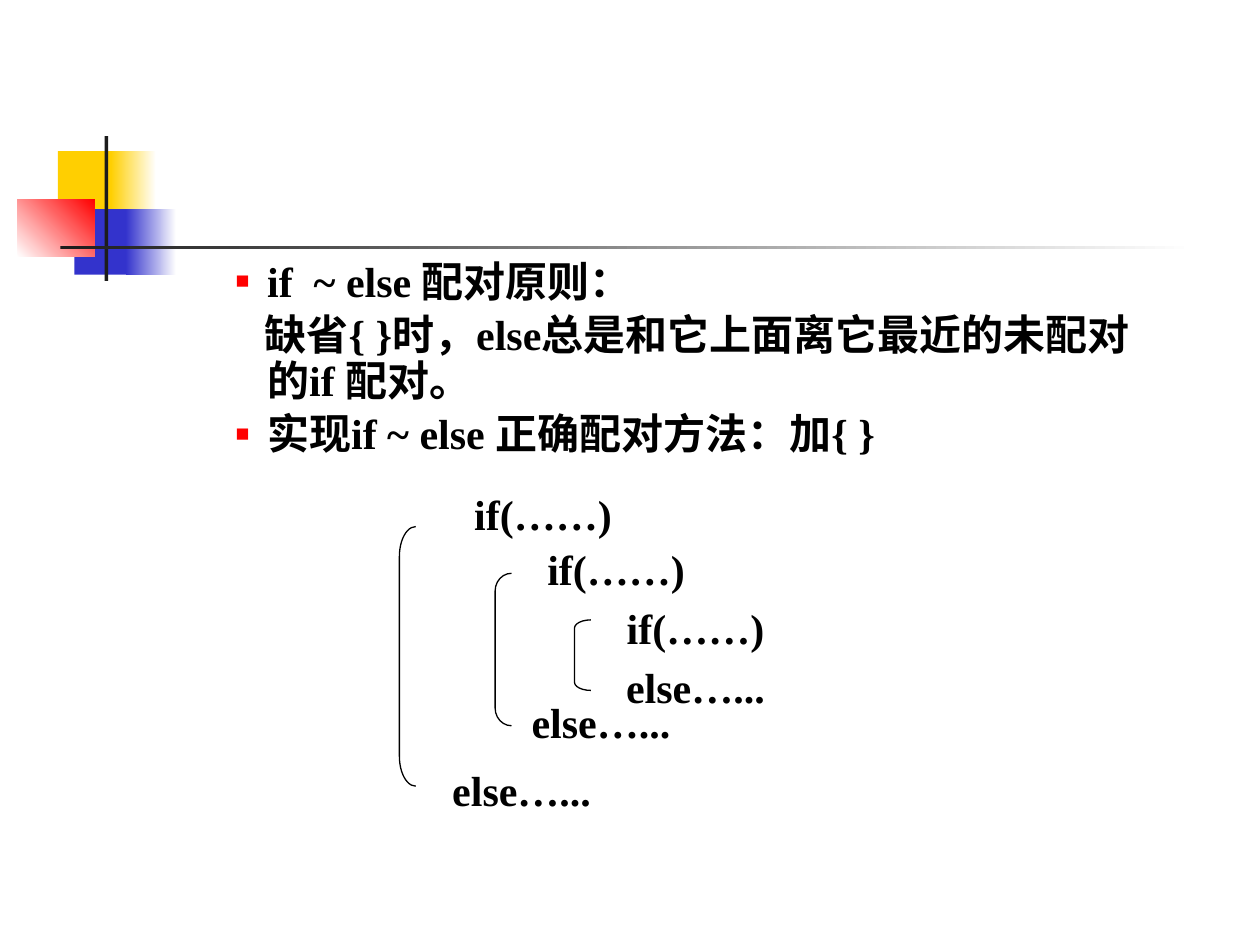
from lxml import etree
from pptx import Presentation
from pptx.dml.color import RGBColor
from pptx.enum.shapes import MSO_SHAPE
from pptx.enum.text import MSO_ANCHOR, MSO_AUTO_SIZE, PP_ALIGN
from pptx.oxml.ns import qn
from pptx.util import Inches, Pt

RECTANGLE = MSO_SHAPE.RECTANGLE
LEFT_BRACKET = MSO_SHAPE.LEFT_BRACKET
COLORS = {"yellow": "FFCF01", "blue": "3333CC", "red": "FF0000",
          "dark": "1C1C1C", "white": "FFFFFF", "black": "000000"}
FONT = "Times New Roman"

# Left, top, width, height, gradient colours or one plain colour, angle
DECORATION = [
    (0.46, 1.2, 0.48, 0.52, ["yellow"], 0),
    (0.88, 1.2, 0.36, 0.52, ["yellow", "white"], 0),
    (0.59, 1.66, 0.46, 0.52, ["blue"], 0),
    (1, 1.66, 0.4, 0.52, ["blue", "white"], 0),
    (0.14, 1.58, 0.61, 0.46, ["white", "red"], 45),
    (0.83, 1.08, 0.03, 1.15, ["dark"], 0),
    (0.48, 1.95, 9, 0.03, ["dark", "white"], 0),
]
# Text, first-line indent, bulleted
RULES = [
    ("if  ~ else 配对原则：", -0.25, True),
    ("缺省{ }时，else总是和它上面离它最近的未配对的if 配对。", -0.02, False),
    ("实现if ~ else 正确配对方法：加{ }", -0.25, True),
]
IF_TEXT, ELSE_TEXT = "if(……)", "else…..."
CODE_LABELS = [
    (IF_TEXT, 3.66, 3.83), (IF_TEXT, 4.24, 4.26), (IF_TEXT, 4.87, 4.73),
    (ELSE_TEXT, 4.87, 5.2), (ELSE_TEXT, 4.12, 5.48), (ELSE_TEXT, 3.49, 6.02),
]
# Left, top, height, corner adjustment
BRACKETS = [(4.56, 4.92, 0.56, 0.5), (3.93, 4.55, 1.21, 1.08),
            (3.17, 4.18, 2.06, 1.83)]


def color(name):
    return RGBColor.from_string(COLORS[name])


def write_text(paragraph, text, size=24, bold=True, color_name="black",
               alignment=None):
    paragraph.alignment = alignment
    run = paragraph.add_run()
    run.text = text
    run.font.name = FONT
    run.font.size = Pt(size)
    run.font.bold = bold
    run.font.color.rgb = color(color_name)


def add_block(slide, left, top, width, height, color_names, angle):
    shape = slide.shapes.add_shape(RECTANGLE, Inches(left), Inches(top),
                                   Inches(width), Inches(height))
    shape.shadow.inherit = False
    shape.line.fill.background()
    if len(color_names) == 1:
        shape.fill.solid()
        shape.fill.fore_color.rgb = color(color_names[0])
        return
    shape.fill.gradient()
    shape.fill.gradient_angle = angle
    for stop, position, name in zip(shape.fill.gradient_stops, (0, 1), color_names):
        stop.position = position
        stop.color.rgb = color(name)


def set_bullet(paragraph, indent, bulleted):
    properties = paragraph._p.get_or_add_pPr()
    properties.set("marL", str(Inches(1.75)))
    properties.set("indent", str(Inches(indent)))
    if not bulleted:
        etree.SubElement(properties, qn("a:buNone"))
        return
    bullet_color = etree.SubElement(properties, qn("a:buClr"))
    etree.SubElement(bullet_color, qn("a:srgbClr"), val=COLORS["red"])
    etree.SubElement(properties, qn("a:buSzPct"), val="55000")
    etree.SubElement(properties, qn("a:buChar"), char="■")


def fill_body(slide, body):
    body.left, body.top = Inches(0.27), Inches(2.02)
    body.width, body.height = Inches(9.12), Inches(1.84)
    frame = body.text_frame
    frame.auto_size = MSO_AUTO_SIZE.NONE
    for index, (text, indent, bulleted) in enumerate(RULES):
        paragraph = frame.add_paragraph() if index else frame.paragraphs[0]
        paragraph.level = 3
        set_bullet(paragraph, indent, bulleted)
        paragraph.line_spacing = 0.9
        paragraph.space_before = Pt(4.8 if index else 0)
        write_text(paragraph, text)
    # Bring the list in front of the decoration
    slide.shapes._spTree.append(body._element)


def add_label(slide, text, left, top):
    box = slide.shapes.add_textbox(Inches(left), Inches(top),
                                   Inches(1.3), Inches(0.5))
    frame = box.text_frame
    frame.word_wrap = False
    frame.auto_size = MSO_AUTO_SIZE.SHAPE_TO_FIT_TEXT
    frame.vertical_anchor = MSO_ANCHOR.MIDDLE
    write_text(frame.paragraphs[0], text, alignment=PP_ALIGN.CENTER)


def add_bracket(slide, left, top, height, adjustment):
    bracket = slide.shapes.add_shape(LEFT_BRACKET, Inches(left), Inches(top),
                                     Inches(0.13), Inches(height))
    bracket.adjustments[0] = adjustment
    bracket.shadow.inherit = False
    bracket.fill.background()
    bracket.line.color.rgb = color("black")
    bracket.line.width = Pt(0.75)


def main():
    presentation = Presentation()
    presentation.slide_width = Inches(10)
    presentation.slide_height = Inches(7.5)
    slide = presentation.slides.add_slide(presentation.slide_layouts[1])
    title = slide.shapes.title
    title._element.getparent().remove(title._element)

    # Coloured blocks and rules
    for block in DECORATION:
        add_block(slide, *block)
    # Matching rules
    fill_body(slide, slide.placeholders[1])
    # Nested if/else example
    for label in CODE_LABELS:
        add_label(slide, *label)
    for bracket in BRACKETS:
        add_bracket(slide, *bracket)

    presentation.save("out.pptx")


if __name__ == "__main__":
    main()
